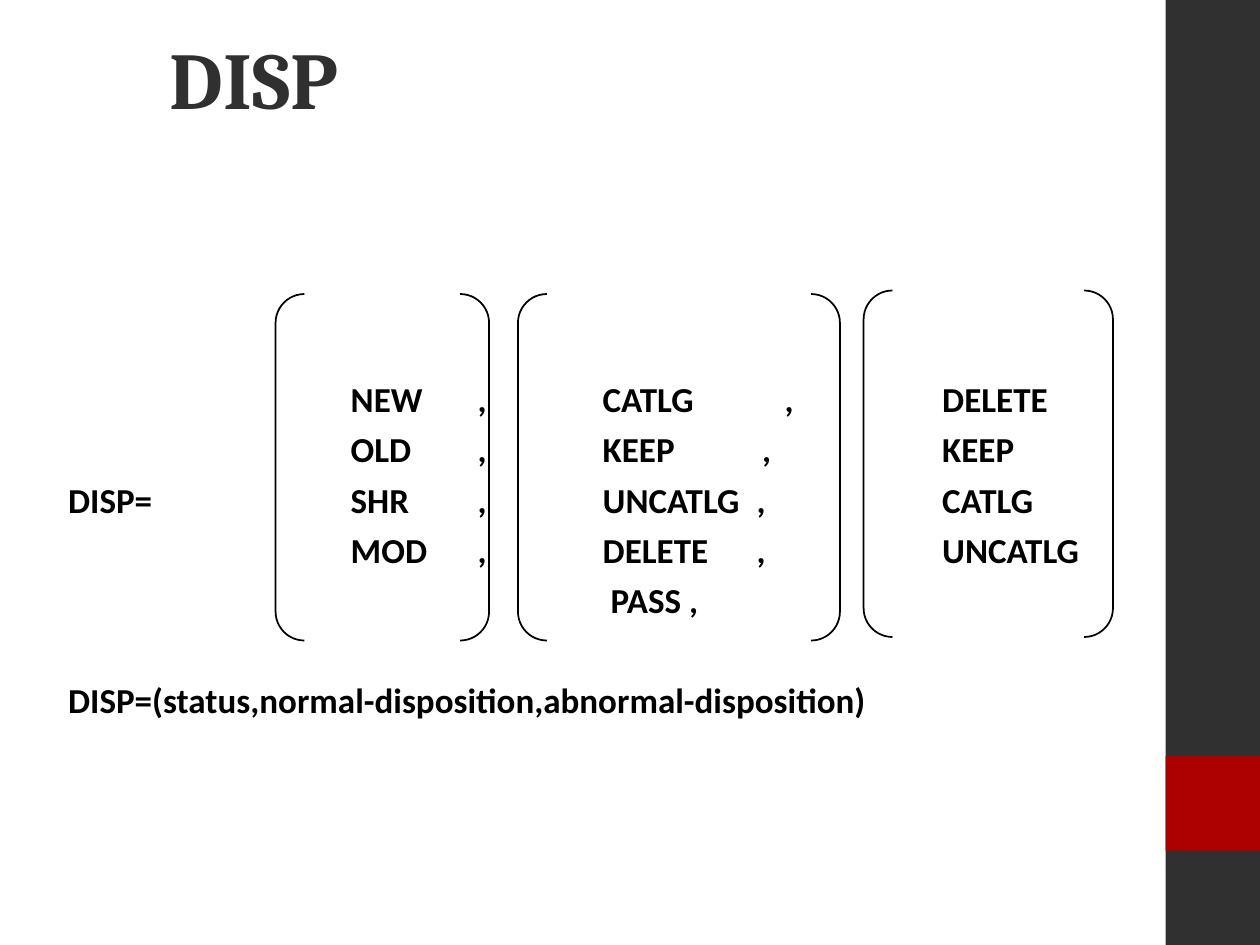
from dataclasses import dataclass

from pptx import Presentation
from pptx.dml.color import RGBColor
from pptx.enum.shapes import MSO_SHAPE
from pptx.enum.text import MSO_ANCHOR
from pptx.oxml.ns import qn
from pptx.util import Pt

RECTANGLE = MSO_SHAPE.RECTANGLE
LEFT_BRACKET = MSO_SHAPE.LEFT_BRACKET
RIGHT_BRACKET = MSO_SHAPE.RIGHT_BRACKET
TOP = MSO_ANCHOR.TOP
MIDDLE = MSO_ANCHOR.MIDDLE


@dataclass(frozen=True)
class Theme:
    dark: RGBColor = RGBColor(0x30, 0x30, 0x30)
    accent: RGBColor = RGBColor(0xAD, 0x01, 0x01)
    text: RGBColor = RGBColor(0, 0, 0)
    title_font: str = "Cambria"
    body_font: str = "Calibri"
    title_size: int = 46
    body_size: int = 20
    line_width: int = 1


class SlideBuilder:
    """Draws the elements of one slide in one theme."""

    def __init__(self, slide, theme):
        self.slide = slide
        self.theme = theme

    def band(self, left, top, width, height, color):
        shape = self.slide.shapes.add_shape(
            RECTANGLE, Pt(left), Pt(top), Pt(width), Pt(height))
        shape.shadow.inherit = False
        shape.fill.solid()
        shape.fill.fore_color.rgb = color
        shape.line.fill.background()

    def bracket(self, kind, left, top, width, height):
        shape = self.slide.shapes.add_shape(
            kind, Pt(left), Pt(top), Pt(width), Pt(height))
        shape.adjustments[0] = 1.0
        shape.shadow.inherit = False
        shape.fill.background()
        shape.line.color.rgb = self.theme.text
        shape.line.width = Pt(self.theme.line_width)

    def bracket_pair(self, left, right, top, width=16.5, height=198):
        self.bracket(LEFT_BRACKET, left, top, width, height)
        self.bracket(RIGHT_BRACKET, right - width, top, width, height)

    def text_frame(self, left, top, width, height, inset, anchor):
        box = self.slide.shapes.add_textbox(
            Pt(left), Pt(top), Pt(width), Pt(height))
        frame = box.text_frame
        frame.word_wrap = True
        frame.vertical_anchor = anchor
        frame.margin_left = Pt(inset)
        frame.margin_right = Pt(7.2)
        frame.margin_top = frame.margin_bottom = Pt(3.6)
        return frame

    def run(self, paragraph, text, font_name, size, color):
        run = paragraph.add_run()
        run.text = text
        run.font.name = font_name
        run.font.size = Pt(size)
        run.font.bold = True
        run.font.color.rgb = color

    def title(self, text):
        frame = self.text_frame(90, 24, 575, 40, 7.2, MIDDLE)
        self.run(frame.paragraphs[0], text, self.theme.title_font,
                 self.theme.title_size, self.theme.dark)

    def tab_stops(self, paragraph, positions):
        properties = paragraph._p.get_or_add_pPr()
        tab_list = properties.makeelement(qn("a:tabLst"), {})
        properties.append(tab_list)
        for position in positions:
            tab_list.append(tab_list.makeelement(
                qn("a:tab"), {"pos": str(Pt(position)), "algn": "l"}))

    def body(self, rows, closing):
        frame = self.text_frame(22.3, 212.4, 672, 240, 16.6, TOP)
        for index, (cells, comma) in enumerate(rows):
            paragraph = frame.paragraphs[0] if index == 0 else frame.add_paragraph()
            self.tab_stops(paragraph, (161.5, 234, 305.5, comma, 499.5))
            if index:
                paragraph.space_before = Pt(4.6)
            self.run(paragraph, "\t".join(cells), self.theme.body_font,
                     self.theme.body_size, self.theme.text)
        paragraph = frame.add_paragraph()
        paragraph.space_before = Pt(33.6)
        self.run(paragraph, closing, self.theme.body_font,
                 self.theme.body_size, self.theme.text)


def main():
    presentation = Presentation()
    presentation.slide_width = Pt(720)
    presentation.slide_height = Pt(540)
    slide = presentation.slides.add_slide(presentation.slide_layouts[6])
    theme = Theme()
    builder = SlideBuilder(slide, theme)

    builder.band(666, 0, 54, 540, theme.dark)
    builder.band(666, 432, 54, 54, theme.accent)
    builder.title("DISP")
    rows = (
        (("", "NEW", ",", "CATLG", ",", "DELETE"), 409.5),
        (("", "OLD", ",", "KEEP", ",", "KEEP"), 396.5),
        (("DISP=", "SHR", ",", "UNCATLG", ",", "CATLG"), 393.5),
        (("", "MOD", ",", "DELETE", ",", "UNCATLG"), 393.5),
        (("", "", "", " PASS ,"), 393.5),
    )
    builder.body(rows, "DISP=(status,normal-disposition,abnormal-disposition)")
    for left, right, top in ((157.5, 279.5, 168), (296, 480, 168),
                             (493.5, 636, 166)):
        builder.bracket_pair(left, right, top)

    presentation.save("out.pptx")


if __name__ == "__main__":
    main()
